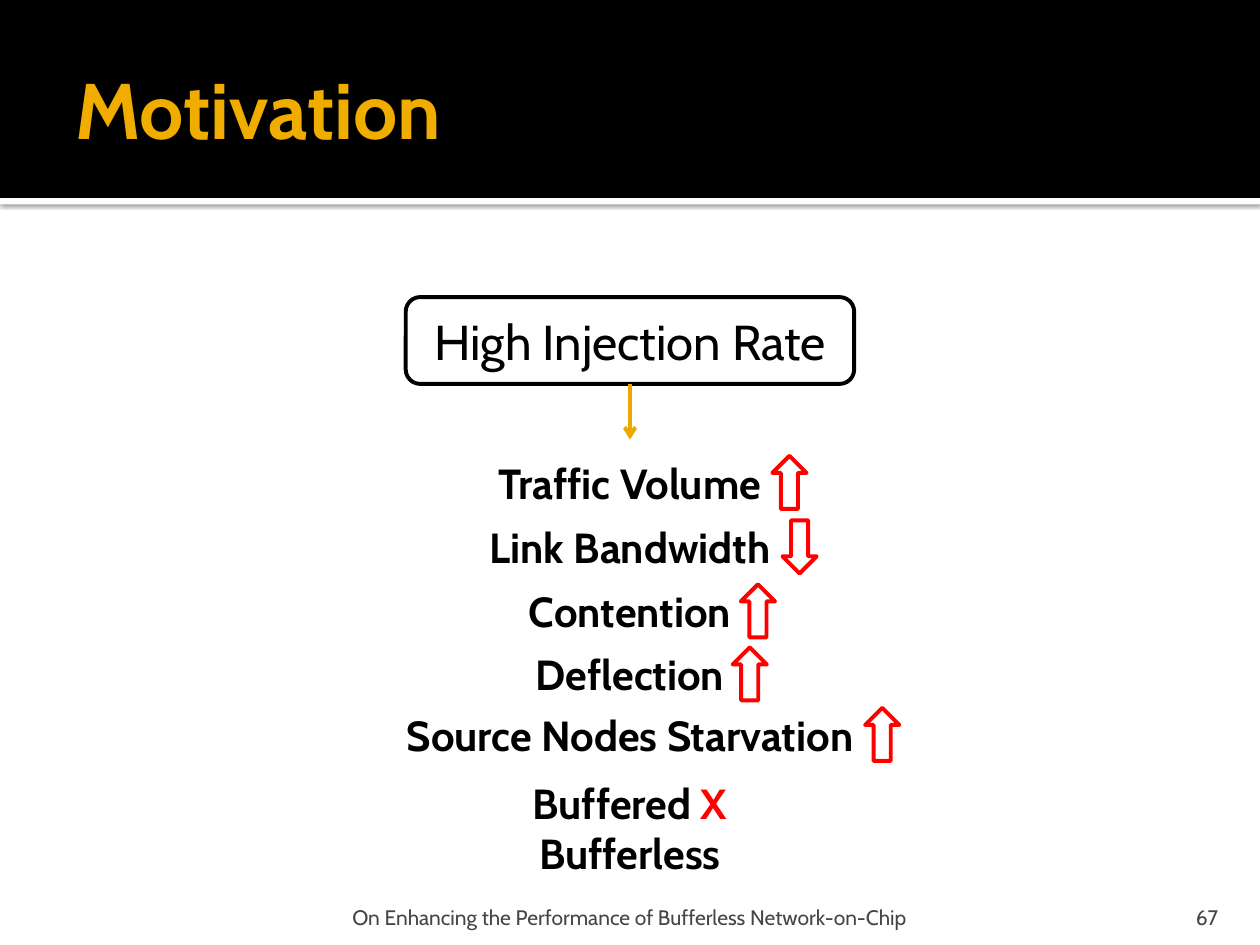
from pptx import Presentation
from pptx.dml.color import RGBColor
from pptx.enum.shapes import MSO_CONNECTOR, MSO_SHAPE as SHAPE
from pptx.enum.text import MSO_ANCHOR as ANCHOR, MSO_AUTO_SIZE as AUTO, PP_ALIGN as ALIGN
from pptx.oxml import parse_xml
from pptx.oxml.ns import nsdecls
from pptx.util import Cm, Pt

BLACK = RGBColor(0x00, 0x00, 0x00)
WHITE = RGBColor(0xFF, 0xFF, 0xFF)
GOLD = RGBColor(0xF0, 0xAD, 0x00)
DARK_GOLD = RGBColor(0xEB, 0xA9, 0x00)
RED = RGBColor(0xFF, 0x00, 0x00)
GREY = RGBColor(0x45, 0x45, 0x45)
CENTER = 12.7
ROW_HEIGHT = 1.27
PAD = (0.25, 0.13, 0.25, 0.13)
BAND_SHADOW = (
    f'<a:effectLst {nsdecls("a")}><a:outerShdw blurRad="31750" dist="10160" dir="5400000" '
    'algn="tl" rotWithShape="0"><a:srgbClr val="000000"><a:alpha val="60000"/>'
    '</a:srgbClr></a:outerShdw></a:effectLst>'
)
EFFECTS = [
    ("Traffic Volume", 9.09, 5.94, SHAPE.UP_ARROW),
    ("Link Bandwidth", 10.39, 6.35, SHAPE.DOWN_ARROW),
    ("Contention", 11.68, 4.67, SHAPE.UP_ARROW),
    ("Deflection", 12.95, 4.34, SHAPE.UP_ARROW),
    ("Source Nodes Starvation", 14.17, 9.68, SHAPE.UP_ARROW),
]


class Deck:
    """Holds the slide and the shared style, and draws each kind of element."""

    font = "Cabin"
    line_width = Pt(2.25)

    def __init__(self, slide):
        self.slide = slide

    def add_runs(self, sp, runs, size, bold=False, align=ALIGN.CENTER,
                 anchor=ANCHOR.TOP, pad=PAD, wrap=True):
        tf = sp.text_frame
        tf.auto_size = AUTO.NONE
        tf.word_wrap = wrap
        tf.vertical_anchor = anchor
        tf.margin_left, tf.margin_top, tf.margin_right, tf.margin_bottom = map(Cm, pad)
        p = tf.paragraphs[0]
        p.alignment = align
        for text, color in runs:
            r = p.add_run()
            r.text = text
            r.font.name = self.font
            r.font.size = Pt(size)
            r.font.bold = bold
            r.font.color.rgb = color

    def text(self, box, runs, size, **style):
        sp = self.slide.shapes.add_textbox(*map(Cm, box))
        self.add_runs(sp, runs, size, **style)

    def shape(self, kind, box, fill, line=None):
        sp = self.slide.shapes.add_shape(kind, *map(Cm, box))
        sp.shadow.inherit = False
        sp.fill.solid()
        sp.fill.fore_color.rgb = fill
        if line is None:
            sp.line.fill.background()
        else:
            sp.line.color.rgb = line
            sp.line.width = self.line_width
        return sp

    def band(self, box):
        sp = self.shape(SHAPE.RECTANGLE, box, WHITE)
        props = sp.element.spPr
        props.replace(props.effectLst, parse_xml(BAND_SHADOW))

    def arrow(self, x, top, bottom):
        c = self.slide.shapes.add_connector(
            MSO_CONNECTOR.STRAIGHT, Cm(x), Cm(top), Cm(x), Cm(bottom))
        c.line.color.rgb = DARK_GOLD
        c.line.width = self.line_width
        ln = c.line.fill and c.element.spPr.ln
        ln.append(parse_xml(f'<a:tailEnd {nsdecls("a")} type="arrow"/>'))
        c.element.spPr.append(parse_xml(f'<a:effectLst {nsdecls("a")}/>'))

    def effect(self, label, top, width, kind):
        left = CENTER - width / 2
        self.text((left, top, width, ROW_HEIGHT), [(label, BLACK)], 24, bold=True, wrap=False)
        self.shape(kind, (left + width - 0.1, top + 0.1, 0.69, 1.07), WHITE, RED)


def main():
    prs = Presentation()
    prs.slide_width, prs.slide_height = Cm(25.4), Cm(19.05)
    deck = Deck(prs.slides.add_slide(prs.slide_layouts[6]))

    deck.band((0, 3.99, 25.4, 0.13))
    deck.shape(SHAPE.RECTANGLE, (0, 0, 25.4, 3.99), BLACK)
    deck.text((1.27, 0.43, 22.86, 3.48), [("Motivation", GOLD)], 45, bold=True,
              align=ALIGN.LEFT, anchor=ANCHOR.MIDDLE, pad=(0.25, 0.13, 0.13, 0.13))
    deck.text((5.05, 17.98, 15.29, 0.76),
              [("On Enhancing the Performance of Bufferless Network-on-Chip", GREY)], 12,
              anchor=ANCHOR.BOTTOM, pad=(0.13, 0.13, 0.13, 0))
    deck.text((22.78, 17.98, 2.03, 0.76), [("67", GREY)], 12, align=ALIGN.RIGHT,
              anchor=ANCHOR.BOTTOM, pad=(0.25, 0.13, 0.25, 0))

    cause = deck.shape(SHAPE.ROUNDED_RECTANGLE, (8.18, 5.99, 9.04, 1.75), WHITE, BLACK)
    deck.add_runs(cause, [("High Injection Rate", BLACK)], 28, anchor=ANCHOR.MIDDLE)
    deck.arrow(CENTER, 7.75, 8.86)
    for row in EFFECTS:
        deck.effect(*row)
    deck.text((8.57, 15.54, 8.26, ROW_HEIGHT),
              [("Buffered ", BLACK), ("X", RED), (" Bufferless", BLACK)], 24,
              bold=True, pad=(1, 0.13, 1, 0.13))
    prs.save("out.pptx")


if __name__ == "__main__":
    main()
